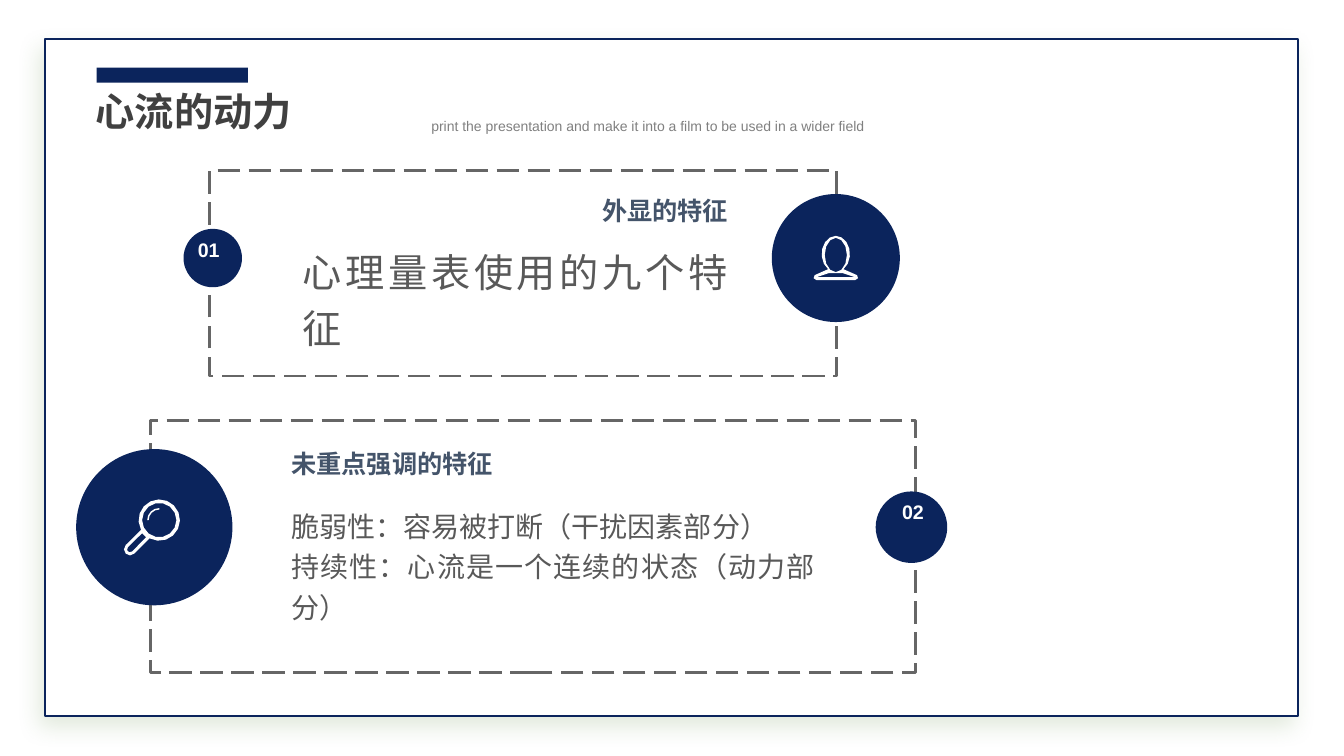
from math import cos, radians, sin

from lxml.etree import SubElement
from pptx import Presentation
from pptx.dml.color import RGBColor
from pptx.enum.dml import MSO_LINE
from pptx.enum.shapes import MSO_SHAPE
from pptx.enum.text import MSO_ANCHOR, MSO_AUTO_SIZE, PP_ALIGN
from pptx.oxml.ns import qn
from pptx.util import Pt

PX = 9144  # 100 px to the inch
FONT = "Arial"
COLORS = {
    "navy": "0B245C", "white": "FFFFFF", "title": "404040", "caption": "808080",
    "dash": "666666", "heading": "44546A", "body": "595959", "shadow": "548235",
}


def color(name):
    return RGBColor.from_string(COLORS[name])


def emu(*lengths):
    return [round(length * PX) for length in lengths]


def paint(shape, fill=None, line=None, width=1):
    shape.shadow.inherit = False
    if fill:
        shape.fill.solid()
        shape.fill.fore_color.rgb = color(fill)
    else:
        shape.fill.background()
    if line:
        shape.line.color.rgb = color(line)
        shape.line.width = Pt(width)
    else:
        shape.line.fill.background()
    return shape


def add_rectangle(shapes, box, **look):
    return paint(shapes.add_shape(MSO_SHAPE.RECTANGLE, *emu(*box)), **look)


def add_disc(shapes, center, size):
    x, y = center
    disc = shapes.add_shape(MSO_SHAPE.OVAL, *emu(x - size / 2, y - size / 2, size, size))
    paint(disc, "navy")


def write(box, lines, size, ink, bold=False, align=PP_ALIGN.LEFT, spacing=None):
    frame = box.text_frame
    frame.word_wrap = True
    frame.auto_size = MSO_AUTO_SIZE.SHAPE_TO_FIT_TEXT
    frame.vertical_anchor = MSO_ANCHOR.TOP
    frame.text = "\n".join(lines)
    for para in frame.paragraphs:
        para.alignment = align
        if spacing:
            para.line_spacing = spacing
        for span in para.runs:
            span.font.name = FONT
            span.font.size = Pt(size)
            span.font.bold = bold
            span.font.color.rgb = color(ink)


def add_text(shapes, box, lines, size, ink, **style):
    write(shapes.add_textbox(*emu(*box)), lines, size, ink, **style)


# Icons: outlines in px around the centre of their disc
def arc(x, y, width, height, start, end, steps):
    angles = [radians(start + (end - start) * step / steps) for step in range(steps + 1)]
    return [(x + width * cos(angle), y + height * sin(angle)) for angle in angles]


def add_outline(shapes, center, contours):
    placed = [[emu(center[0] + x, center[1] + y) for x, y in contour] for contour in contours]
    builder = shapes.build_freeform(*placed[0][0], scale=1.0)
    for index, contour in enumerate(placed):
        if index:
            builder.move_to(*contour[0])
        builder.add_line_segments(contour[1:], close=True)
    paint(builder.convert_to_shape(), "white")


def add_person(shapes, center):
    shoulders = [(21, 17), (22, 20), (19, 22), (-19, 22), (-22, 20), (-21, 17)]
    chest = [(-19, 19), (-7, 15), (0, 15), (7, 15), (19, 19)]
    add_outline(shapes, center, [
        arc(0, -4, 14, 18, 123, 417, 12) + shoulders,
        arc(0, -3, 11, 17, 0, 360, 12)[:-1],
        chest,
    ])


def add_magnifier(shapes, center):
    lens, grip = (5, -7), (-24, 22)
    add_outline(shapes, center, [
        arc(*lens, 20.5, 20.5, 152, 478, 14) + arc(*grip, 6, 6, 45, 225, 4),
        arc(*lens, 17, 17, 0, 360, 14)[:-1],
        arc(*grip, 3, 3, 45, 225, 3) + [(-12, 6), (-8, 10)],
    ])
    add_outline(shapes, center, [
        arc(*lens, 12, 12, 180, 270, 4) + arc(*lens, 10.5, 10.5, 270, 180, 4),
    ])


def add_backdrop(page, box):
    card = add_rectangle(page.shapes, box, fill="white", line="navy", width=1.5)
    effects = card.element.spPr.find(qn("a:effectLst"))
    shadow = SubElement(effects, qn("a:outerShdw"), blurRad=str(Pt(16)), dist=str(Pt(8)),
                        dir=str(120 * 60000), algn="ctr", rotWithShape="0")
    tint = SubElement(shadow, qn("a:srgbClr"), val=COLORS["shadow"])
    SubElement(tint, qn("a:alpha"), val="16000")
    # The title placeholder belongs in front of the card
    card.element.addnext(page.shapes.title.element)


def add_header(page, box):
    x, y, width, height = box
    title = page.shapes.title
    title.left, title.top, title.width, title.height = emu(x, y + 15, width, height)
    write(title, ["心流的动力"], 28, "title", bold=True)
    add_text(page.shapes, (x + 333, y + 41, 534, 28),
             ["print the presentation and make it into a film to be used in a wider field"],
             10, "caption", spacing=1.2)
    add_rectangle(page.shapes, (x + 11, y, 150, 15), fill="navy")


def add_panel(page, box, panel):
    x, y, width, height = box
    shapes = page.shapes.add_group_shape().shapes

    def place(part):
        left, top, *size = panel[part]
        return (x + left, y + top, *size)

    border = add_rectangle(shapes, box, line="dash", width=2)
    border.line.dash_style = MSO_LINE.LONG_DASH
    # Icon on one side, number on the other
    add_disc(shapes, place("icon_center"), panel["icon_size"])
    panel["draw_icon"](shapes, place("icon_center"))
    add_disc(shapes, place("badge_center"), panel["badge_size"])
    # Texts
    add_text(shapes, place("heading_box"), [panel["heading"]], 18, "heading",
             bold=True, align=panel["heading_align"])
    add_text(shapes, place("body_box"), panel["body"], panel["body_size"], "body",
             align=PP_ALIGN.JUSTIFY, spacing=1.2)
    add_text(shapes, place("number_box"), [panel["number"]], 14, "white",
             bold=True, align=PP_ALIGN.CENTER)


VISIBLE_TRAITS = {
    "number": "01", "heading": "外显的特征", "heading_align": PP_ALIGN.RIGHT,
    "body": ["心理量表使用的九个特征"], "body_size": 28,
    "draw_icon": add_person, "icon_center": (621, 87), "icon_size": 127,
    "badge_center": (3, 87), "badge_size": 58,
    "heading_box": (280, 20, 244, 40), "body_box": (82, 63, 442, 123),
    "number_box": (-30, 62, 58, 33),
}
OTHER_TRAITS = {
    "number": "02", "heading": "未重点强调的特征", "heading_align": PP_ALIGN.LEFT,
    "body": ["脆弱性：容易被打断（干扰因素部分）", "持续性：心流是一个连续的状态（动力部分）"],
    "body_size": 20,
    "draw_icon": add_magnifier, "icon_center": (4, 106), "icon_size": 155,
    "badge_center": (755, 106), "badge_size": 71,
    "heading_box": (130, 23, 298, 40), "body_box": (130, 77, 539, 131),
    "number_box": (710, 74, 93, 33),
}


def main():
    deck = Presentation()
    deck.slide_width, deck.slide_height = emu(1333, 750)
    page = deck.slides.add_slide(deck.slide_layouts[5])
    add_backdrop(page, (45, 39, 1242, 671))
    add_header(page, (85, 67, 489, 57))
    add_panel(page, (208, 169, 622, 204), VISIBLE_TRAITS)
    add_panel(page, (149, 417, 759, 250), OTHER_TRAITS)
    deck.save("out.pptx")


if __name__ == "__main__":
    main()
